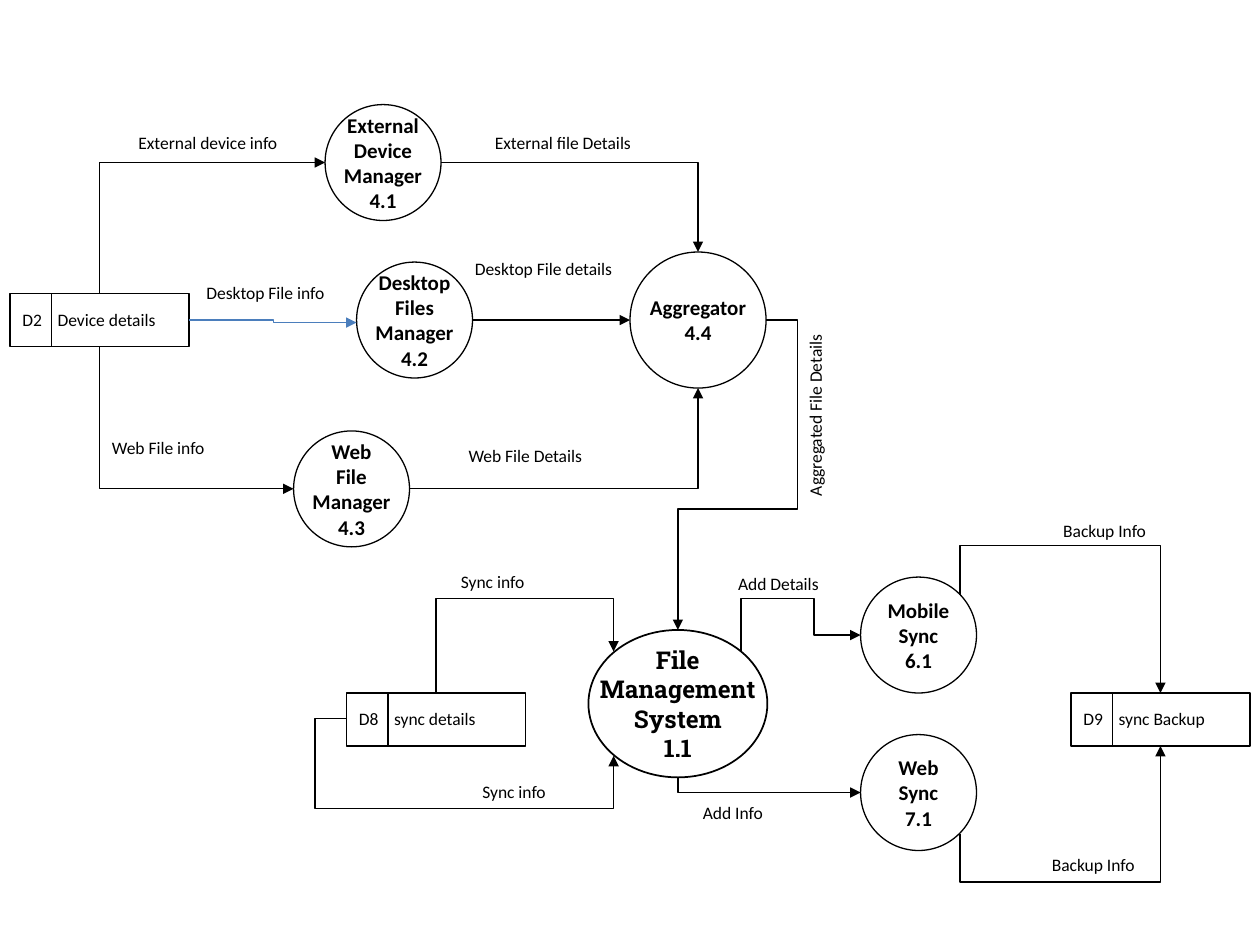
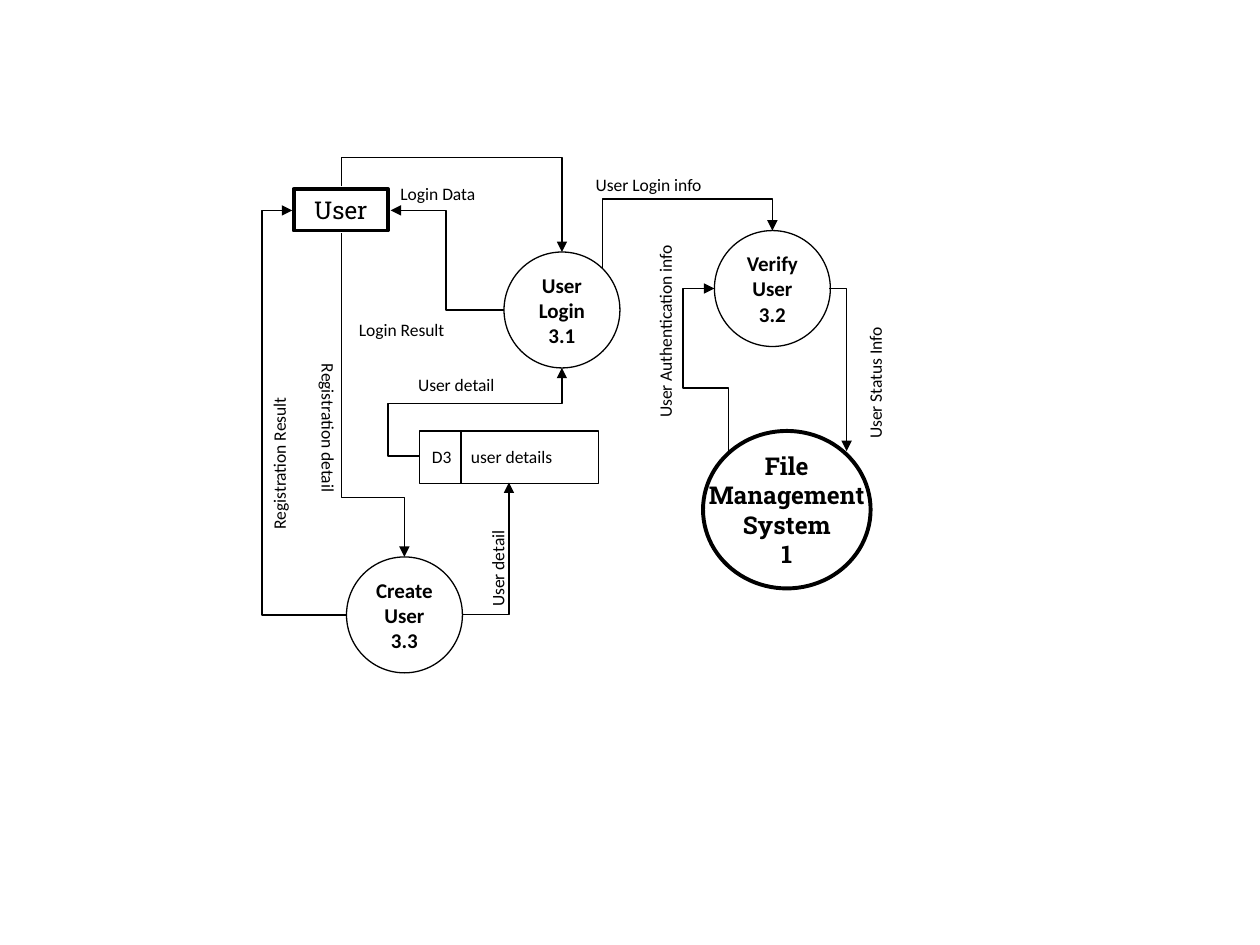
from dataclasses import dataclass

from lxml.etree import SubElement
from pptx import Presentation
from pptx.dml.color import RGBColor
from pptx.enum.shapes import MSO_CONNECTOR, MSO_SHAPE
from pptx.enum.text import MSO_ANCHOR, MSO_AUTO_SIZE, PP_ALIGN
from pptx.oxml.ns import qn
from pptx.util import Inches, Pt


@dataclass(frozen=True)
class Theme:
    ink: RGBColor = RGBColor(0x00, 0x00, 0x00)
    accent: RGBColor = RGBColor(0x4B, 0x7E, 0xBC)
    body_font: str = "Calibri"
    system_font: str = "Roboto Slab"
    label_size: float = 10
    process_size: float = 12
    system_size: float = 14
    thin: float = 0.75
    thick: float = 2.25
    process_width: float = 0.92
    store_width: float = 1.42
    store_height: float = 0.42
    code_width: float = 0.33
    label_height: float = 0.27


class FlowDiagram:
    """Draws the elements of a data flow diagram on the current slide."""

    def __init__(self, deck, theme):
        self.deck = deck
        self.theme = theme
        self.canvas = None

    def new_page(self):
        page = self.deck.slides.add_slide(self.deck.slide_layouts[6])
        self.canvas = page.shapes

    # Text
    def add_span(self, para, text, size, font, bold=False):
        span = para.add_run()
        span.text = text
        span.font.size = Pt(size)
        span.font.name = font
        span.font.bold = bold
        span.font.color.rgb = self.theme.ink

    def label(self, left, top, width, text, rotation=0):
        box = self.canvas.add_textbox(Inches(left), Inches(top), Inches(width),
                                      Inches(self.theme.label_height))
        box.rotation = rotation
        box.text_frame.word_wrap = False
        box.text_frame.auto_size = MSO_AUTO_SIZE.SHAPE_TO_FIT_TEXT
        para = box.text_frame.paragraphs[0]
        self.add_span(para, text, self.theme.label_size, self.theme.body_font)
        return para

    # Outlined shapes with centred lines of text
    def outline(self, kind, left, top, width, height, weight):
        shape = self.canvas.add_shape(kind, Inches(left), Inches(top),
                                      Inches(width), Inches(height))
        shape.shadow.inherit = False
        shape.fill.background()
        shape.line.color.rgb = self.theme.ink
        shape.line.width = Pt(weight)
        return shape

    def fill_lines(self, shape, lines, size, font, bold):
        frame = shape.text_frame
        frame.word_wrap = False
        frame.vertical_anchor = MSO_ANCHOR.MIDDLE
        for index, line in enumerate(lines):
            para = frame.add_paragraph() if index else frame.paragraphs[0]
            para.alignment = PP_ALIGN.CENTER
            self.add_span(para, line, size, font, bold)

    def process(self, left, top, *lines, width=None):
        width = width or self.theme.process_width
        circle = self.outline(MSO_SHAPE.OVAL, left, top, width, width,
                              self.theme.thin)
        self.fill_lines(circle, lines, self.theme.process_size,
                        self.theme.body_font, True)

    def system(self, left, top, width, height, number, weight):
        oval = self.outline(MSO_SHAPE.OVAL, left, top, width, height, weight)
        self.fill_lines(oval, ("File", "Management", "System", number),
                        self.theme.system_size, self.theme.system_font, True)

    def entity(self, left, top, width, height, name):
        box = self.outline(MSO_SHAPE.RECTANGLE, left, top, width, height,
                           self.theme.thick)
        self.fill_lines(box, (name,), self.theme.system_size,
                        self.theme.system_font, False)

    # Data store: a frame with a code cell, kept as one group
    def store(self, left, top, code, name, text_width, indent=0.28):
        theme, page_shapes = self.theme, self.canvas
        self.canvas = page_shapes.add_group_shape().shapes
        self.outline(MSO_SHAPE.RECTANGLE, left, top, theme.store_width,
                     theme.store_height, theme.thin)
        divider = left + theme.code_width
        self.flow((divider, top), (divider, top + theme.store_height),
                  arrow=False)
        para = self.label(left, top + 0.07, text_width, f"{code}\t{name}")
        properties = para._p.get_or_add_pPr()
        tabs = SubElement(properties, qn("a:tabLst"))
        SubElement(tabs, qn("a:tab"), pos=str(Inches(indent)), algn="l")
        self.canvas = page_shapes

    # Right-angled route through the given points, with an arrow at its end
    def flow(self, *points, color=None, arrow=True):
        (x1, y1), (x2, y2) = points[0], points[-1]
        dx, dy = x2 - x1, y2 - y1
        width, height = abs(dx), abs(dy)
        bent = len(points) > 2
        upright = bent and points[1][0] == x1
        if upright:
            width, height = height, width
        left, top = (x1 + x2 - width) / 2, (y1 + y2 - height) / 2
        line = self.canvas.add_connector(
            MSO_CONNECTOR.STRAIGHT, Inches(left), Inches(top),
            Inches(left + width), Inches(top + height))
        if bent:
            self.bend(line, points, dx, dy, upright)
        line.line.color.rgb = color or self.theme.ink
        line.line.width = Pt(self.theme.thin)
        properties = line.element.spPr
        if arrow:
            SubElement(properties.find(qn("a:ln")), qn("a:tailEnd"),
                       type="triangle")
        SubElement(properties, qn("a:effectLst"))

    def bend(self, line, points, dx, dy, upright):
        properties = line.element.spPr
        frame = properties.find(qn("a:xfrm"))
        if upright:
            turn = 270 if dx > 0 else 90
            flip, mirrored = "flipH", (dy > 0) == (turn == 270)
        else:
            turn = 180 if dx < 0 else 0
            flip, mirrored = "flipV", (dy > 0) == (turn == 180)
        frame.set("rot", str(turn * 60000))
        if mirrored:
            frame.set(flip, "1")

        geometry = properties.find(qn("a:prstGeom"))
        geometry.set("prst", f"bentConnector{len(points) - 1}")
        guides = geometry.find(qn("a:avLst"))
        if guides is None:
            guides = SubElement(geometry, qn("a:avLst"))
        # Each inner bend is a share of the span along its own axis
        spans = (dx, dy)
        for index, point in enumerate(points[1:-2]):
            axis = (index + upright) % 2
            share = (point[axis] - points[0][axis]) / spans[axis]
            SubElement(guides, qn("a:gd"), name=f"adj{index + 1}",
                       fmla=f"val {round(share * 100000)}")


def draw_file_management(diagram):
    diagram.new_page()

    # Processes and stores
    diagram.process(2.58, 0.83, "External", "Device", "Manager", "4.1")
    diagram.process(2.83, 2.08, "Desktop", "Files", "Manager", "4.2")
    diagram.process(2.33, 3.42, "Web", "File", "Manager", "4.3")
    diagram.process(5, 2, "Aggregator", "4.4", width=1.08)
    diagram.process(6.83, 4.58, "Mobile", "Sync", "6.1")
    diagram.process(6.83, 5.83, "Web", "Sync", "7.1")
    diagram.system(4.67, 5, 1.42, 1.17, "1.1", 1)
    diagram.store(0.08, 2.33, "D2", "Device details", 1.27)
    diagram.store(8.5, 5.5, "D9", "sync Backup", 1.18)
    diagram.store(2.75, 5.5, "D8", "sync details", 1.14)

    # Device details to the aggregator
    diagram.flow((0.79, 2.33), (0.79, 1.29), (2.58, 1.29))
    diagram.flow((1.5, 2.54), (2.17, 2.54), (2.17, 2.56), (2.83, 2.56),
                 color=diagram.theme.accent)
    diagram.flow((0.79, 2.75), (0.79, 3.88), (2.33, 3.88))
    diagram.flow((3.5, 1.29), (5.54, 1.29), (5.54, 2))
    diagram.flow((3.75, 2.54), (5, 2.54))
    diagram.flow((3.25, 3.88), (5.54, 3.88), (5.54, 3.08))
    diagram.flow((6.08, 2.54), (6.33, 2.54), (6.33, 4.04), (5.38, 4.04),
                 (5.38, 5))

    # Sync and backup
    diagram.flow((3.46, 5.5), (3.46, 4.75), (4.87, 4.75), (4.87, 5.17))
    diagram.flow((2.75, 5.7), (2.5, 5.7), (2.5, 6.42), (4.87, 6.42), (4.87, 6))
    diagram.flow((5.88, 5.17), (5.88, 4.75), (6.46, 4.75), (6.46, 5.04),
                 (6.83, 5.04))
    diagram.flow((5.38, 6.17), (5.38, 6.29), (6.83, 6.29))
    diagram.flow((7.62, 4.72), (7.62, 4.33), (9.21, 4.33), (9.21, 5.5))
    diagram.flow((7.62, 6.62), (7.62, 7), (9.21, 7), (9.21, 5.92))

    # Flow names
    for left, top, width, text in (
            (1, 1, 1.32, "External device info"),
            (1.54, 2.19, 1.15, "Desktop File info"),
            (0.79, 3.42, 0.95, "Web File info"),
            (3.83, 1, 1.3, "External file Details"),
            (3.67, 2, 1.31, "Desktop File details"),
            (3.62, 3.48, 1.12, "Web File Details"),
            (3.56, 4.48, 0.77, "Sync info"),
            (3.73, 6.15, 0.77, "Sync info"),
            (5.48, 6.32, 0.71, "Add Info"),
            (5.76, 4.5, 0.91, "Add Details"),
            (8.34, 4.08, 0.93, "Backup Info"),
            (8.25, 6.73, 0.93, "Backup Info")):
        diagram.label(left, top, width, text)
    diagram.label(5.7, 3.13, 1.54, "Aggregated File Details", 270)


def draw_user_management(diagram):
    diagram.new_page()

    # User, processes and store
    diagram.entity(2.33, 1.5, 0.75, 0.33, "User")
    diagram.process(4, 2, "User", "Login", "3.1")
    diagram.process(5.67, 1.83, "Verify", "User", "3.2")
    diagram.process(2.75, 4.42, "Create", "User", "3.3")
    diagram.system(5.58, 3.42, 1.33, 1.25, "1", diagram.theme.thick)
    diagram.store(3.33, 3.42, "D3", "user details", 1.17, indent=0.31)

    # Login and registration
    diagram.flow((2.71, 1.48), (2.71, 1.25), (4.46, 1.25), (4.46, 2))
    diagram.flow((4, 2.46), (3.54, 2.46), (3.54, 1.67), (3.1, 1.67))
    diagram.flow((3.33, 3.62), (3.08, 3.62), (3.08, 3.2), (4.46, 3.2),
                 (4.46, 2.92))
    diagram.flow((2.75, 4.88), (2.08, 4.88), (2.08, 1.67), (2.32, 1.67))
    diagram.flow((2.71, 1.85), (2.71, 3.95), (3.21, 3.95), (3.21, 4.42))
    diagram.flow((3.67, 4.88), (4.04, 4.88), (4.04, 3.83))

    # Verification
    diagram.flow((4.78, 2.13), (4.78, 1.58), (6.13, 1.58), (6.13, 1.83))
    diagram.flow((5.78, 3.58), (5.78, 3.08), (5.42, 3.08), (5.42, 2.29),
                 (5.67, 2.29))
    diagram.flow((6.58, 2.29), (6.72, 2.29), (6.72, 3.58))

    # Flow names
    for left, top, width, text, rotation in (
            (3.08, 1.4, 0.87, "Login Data", 0),
            (2.75, 2.48, 0.97, "Login Result", 0),
            (3.22, 2.92, 0.86, "User detail", 0),
            (4.63, 1.33, 1.13, "User Login info", 0),
            (4.43, 2.43, 1.7, "User Authentication info", 270),
            (6.35, 2.85, 1.19, "User Status Info", 270),
            (1.93, 3.33, 1.35, "Registration detail", 90),
            (1.51, 3.46, 1.41, "Registration Result", 270),
            (3.52, 4.35, 0.86, "User detail", 270)):
        diagram.label(left, top, width, text, rotation)


def main():
    deck = Presentation()
    deck.slide_width, deck.slide_height = Inches(10), Inches(7.5)
    diagram = FlowDiagram(deck, Theme())
    draw_file_management(diagram)
    draw_user_management(diagram)
    deck.save("out.pptx")


if __name__ == "__main__":
    main()
